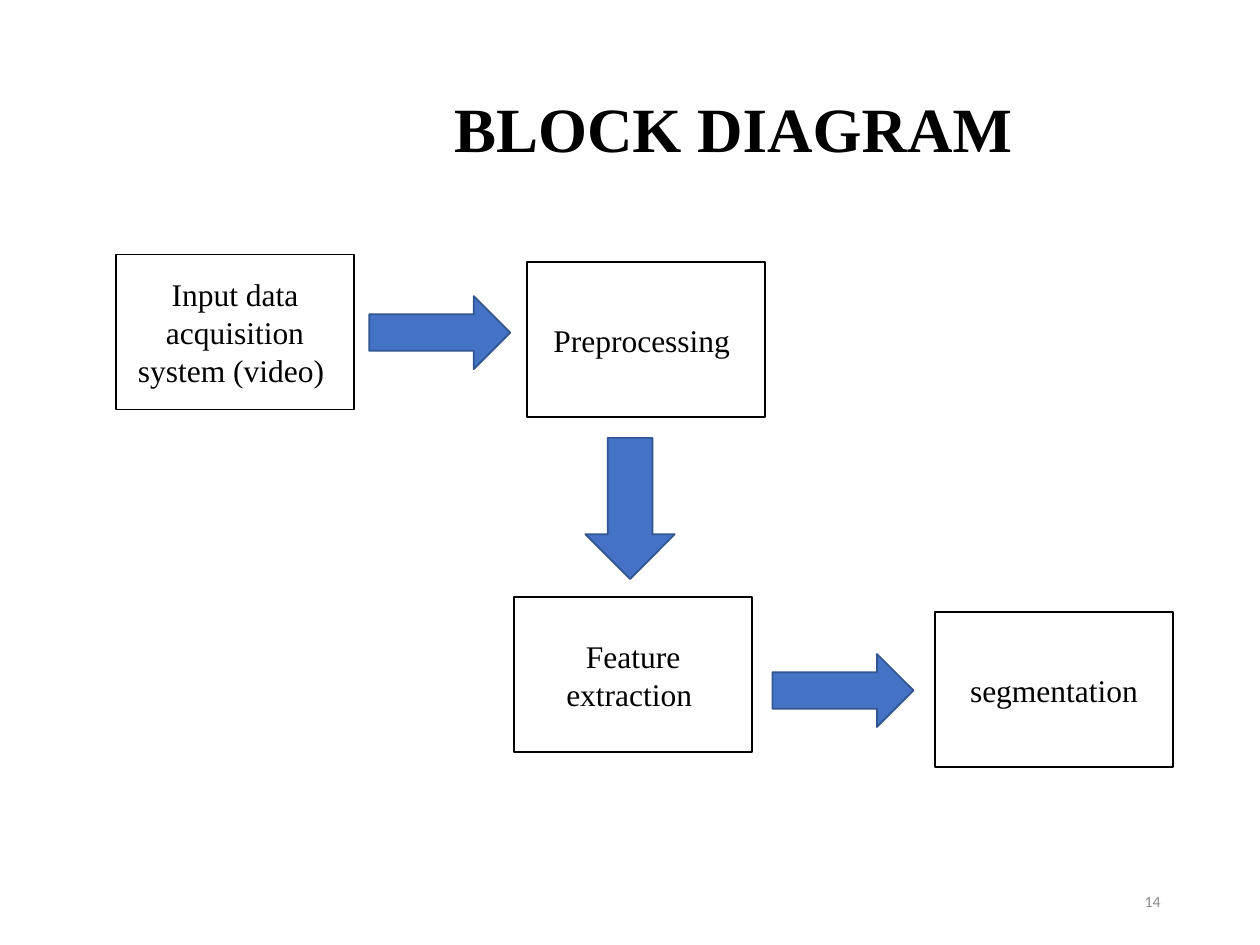
"""Build the block diagram slide: four stages joined by block arrows."""
from dataclasses import dataclass

from pptx import Presentation
from pptx import util as u
from pptx.dml import color
from pptx.enum import shapes, text


@dataclass(frozen=True)
class Theme:
    ink: str = "000000"
    paper: str = "FFFFFF"
    arrow: str = "4472C4"
    arrow_edge: str = "325491"
    muted: str = "8C8C8C"
    serif: str = "Times New Roman"
    sans: str = "Calibri"
    title_size: int = 36
    stage_size: int = 18
    number_size: int = 9


theme = Theme()


def write(frame, words, align, font, size, ink, bold=False):
    frame.word_wrap = True
    frame.auto_size = text.MSO_AUTO_SIZE.NONE
    frame.vertical_anchor = text.MSO_ANCHOR.MIDDLE
    para = frame.paragraphs[0]
    para.alignment = align
    span = para.add_run()
    span.text = words
    span.font.name = font
    span.font.size = u.Pt(size)
    span.font.bold = bold
    span.font.color.rgb = color.RGBColor.from_string(ink)
    return para


def block(kind, left, top, width, height, fill, edge):
    box = page.shapes.add_shape(kind, *map(u.Inches, (left, top, width, height)))
    box.shadow.inherit = False
    box.fill.solid()
    box.fill.fore_color.rgb = color.RGBColor.from_string(fill)
    box.line.color.rgb = color.RGBColor.from_string(edge)
    box.line.width = u.Pt(1)
    return box


deck = Presentation()
deck.slide_width, deck.slide_height = u.Inches(10), u.Inches(7.5)
page = deck.slides.add_slide(deck.slide_layouts[5])

title = page.shapes.title
title.left, title.top = u.Inches(3.16), u.Inches(0.42)
title.width, title.height = u.Inches(5.07), u.Inches(1.25)
title.text_frame.margin_left = u.Inches(0.35)
heading = write(title.text_frame, "BLOCK DIAGRAM", text.PP_ALIGN.CENTER,
                theme.serif, theme.title_size, theme.ink, bold=True)
heading.line_spacing = 0.9

number = page.shapes.add_textbox(*map(u.Inches, (7.06, 6.95, 2.25, 0.4)))
write(number.text_frame, "14", text.PP_ALIGN.RIGHT,
      theme.sans, theme.number_size, theme.muted)

stage_width, stage_height = 1.89, 1.23
stages = [
    ("Input data acquisition system (video) ", 0.92, 2.02),
    ("Preprocessing ", 4.18, 2.08),
    ("Feature extraction ", 4.08, 4.74),
    (" segmentation ", 7.42, 4.86),
]
for words, left, top in stages:
    stage = block(shapes.MSO_SHAPE.RECTANGLE, left, top, stage_width, stage_height,
                  theme.paper, theme.ink)
    write(stage.text_frame, words, text.PP_ALIGN.CENTER,
          theme.serif, theme.stage_size, theme.ink)

arrow_length = 1.12
arrows = [(2.93, 2.35, 0.58, 0), (6.13, 5.19, 0.58, 0), (4.44, 3.68, 0.71, 90)]
for left, top, thickness, turn in arrows:
    arrow = block(shapes.MSO_SHAPE.RIGHT_ARROW, left, top, arrow_length, thickness,
                  theme.arrow, theme.arrow_edge)
    arrow.rotation = turn

deck.save("out.pptx")
